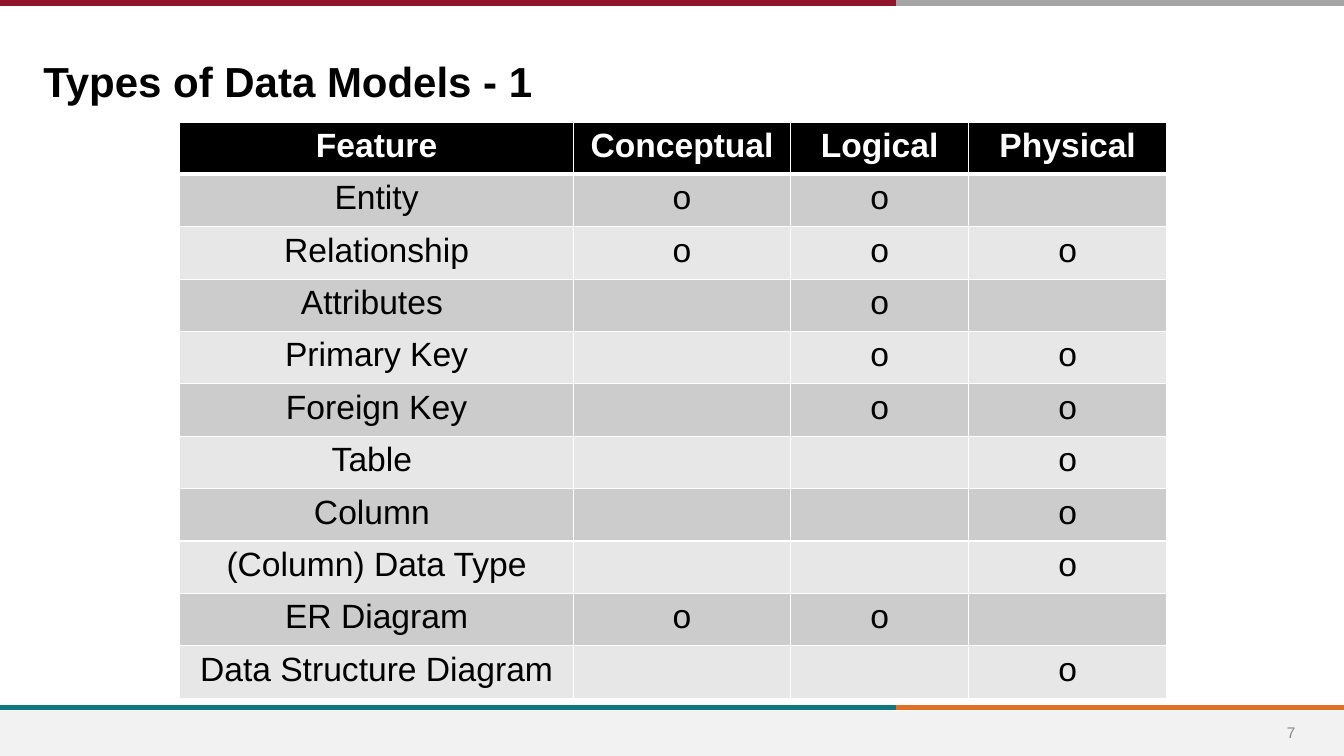
from lxml.etree import SubElement
from pptx import Presentation
from pptx.dml.color import RGBColor
from pptx.enum.shapes import MSO_CONNECTOR, MSO_SHAPE
from pptx.enum.text import MSO_ANCHOR, PP_ALIGN
from pptx.oxml.ns import qn
from pptx.util import Inches, Pt

COLORS = {
    "black": "000000", "white": "FFFFFF", "dark_row": "CCCCCC",
    "light_row": "E7E7E7", "footer": "F2F2F2", "number": "888888",
    "crimson": "90152A", "gray": "A5A5A5", "teal": "0F787D", "orange": "DF7023",
}
WIDTH, HEIGHT, SPLIT = 13.33, 7.5, 8.89
MODELS = ["Conceptual", "Logical", "Physical"]
FEATURES = [
    ("Entity", "CL"),
    ("Relationship", "CLP"),
    ("Attributes ", "L"),
    ("Primary Key", "LP"),
    ("Foreign Key", "LP"),
    ("Table ", "P"),
    ("Column ", "P"),
    ("(Column) Data Type", "P"),
    ("ER Diagram", "CL"),
    ("Data Structure Diagram", "P"),
]


class SlideBuilder:
    font = "Arial"

    def __init__(self, slide):
        self.slide = slide

    def color(self, name):
        return RGBColor.from_string(COLORS[name])

    def set_text(self, frame, text, size, color, bold=False, align=PP_ALIGN.CENTER):
        frame.text = text
        paragraph = frame.paragraphs[0]
        paragraph.alignment = align
        for run in paragraph.runs:
            run.font.name = self.font
            run.font.size = Pt(size)
            run.font.bold = bold
            run.font.color.rgb = self.color(color)

    def title(self, text, left, top, width, height):
        heading = self.slide.shapes.title
        heading.left, heading.top = Inches(left), Inches(top)
        heading.width, heading.height = Inches(width), Inches(height)
        frame = heading.text_frame
        frame.word_wrap = True
        frame.vertical_anchor = MSO_ANCHOR.TOP
        frame.margin_top = Inches(0.09)
        self.set_text(frame, text, 30, "black", True, PP_ALIGN.LEFT)

    def rule(self, start, end, y, color):
        stripe = self.slide.shapes.add_connector(
            MSO_CONNECTOR.STRAIGHT, Inches(start), Inches(y), Inches(end), Inches(y))
        stripe.line.color.rgb = self.color(color)
        stripe.line.width = Pt(4)
        SubElement(stripe._element.spPr, qn("a:effectLst"))

    def band(self, top, height, color):
        footer = self.slide.shapes.add_shape(
            MSO_SHAPE.RECTANGLE, 0, Inches(top), Inches(WIDTH), Inches(height))
        footer.shadow.inherit = False
        footer.fill.solid()
        footer.fill.fore_color.rgb = self.color(color)
        footer.line.fill.background()

    def label(self, text, left, top, width, height, size, color):
        frame = self.slide.shapes.add_textbox(
            Inches(left), Inches(top), Inches(width), Inches(height)).text_frame
        frame.word_wrap = True
        frame.vertical_anchor = MSO_ANCHOR.MIDDLE
        self.set_text(frame, text, size, color)

    def border(self, cell, side, width):
        edge = SubElement(cell._tc.get_or_add_tcPr(), qn(f"a:ln{side}"), w=str(Pt(width)))
        paint = SubElement(edge, qn("a:solidFill"))
        SubElement(paint, qn("a:srgbClr"), val=COLORS["white"])

    def table(self, rows, left, top, widths, row_height):
        grid = self.slide.shapes.add_table(
            len(rows), len(widths), Inches(left), Inches(top),
            Inches(sum(widths)), Inches(row_height * len(rows))).table
        for column, width in zip(grid.columns, widths):
            column.width = Inches(width)
        for r, entries in enumerate(rows):
            grid.rows[r].height = Inches(row_height)
            header = r == 0
            fill = "black" if header else ("light_row", "dark_row")[r % 2]
            for c, entry in enumerate(entries):
                cell = grid.cell(r, c)
                for side in "LRTB":
                    heavy = (r, side) in ((0, "B"), (1, "T"))
                    self.border(cell, side, 3 if heavy else 1)
                cell.fill.solid()
                cell.fill.fore_color.rgb = self.color(fill)
                self.set_text(cell.text_frame, entry, 24,
                              "white" if header else "black", header)


def main():
    deck = Presentation()
    deck.slide_width, deck.slide_height = Inches(WIDTH), Inches(HEIGHT)
    page = SlideBuilder(deck.slides.add_slide(deck.slide_layouts[5]))

    for y, first, second in ((7.02, "teal", "orange"), (0.03, "crimson", "gray")):
        page.rule(SPLIT, WIDTH, y, second)
        page.rule(0, SPLIT, y, first)
    page.band(7.05, 0.45, "footer")
    page.label("7", 12.46, 7.07, 0.69, 0.4, 11, "number")
    page.title("Types of Data Models - 1", 0.33, 0.46, 10.65, 0.59)

    rows = [["Feature", *MODELS]]
    for feature, supported in FEATURES:
        rows.append([feature, *("o" if model[0] in supported else "" for model in MODELS)])
    page.table(rows, 1.78, 1.21, [3.91, 2.15, 1.77, 1.96], 0.52)
    deck.save("out.pptx")


if __name__ == "__main__":
    main()
